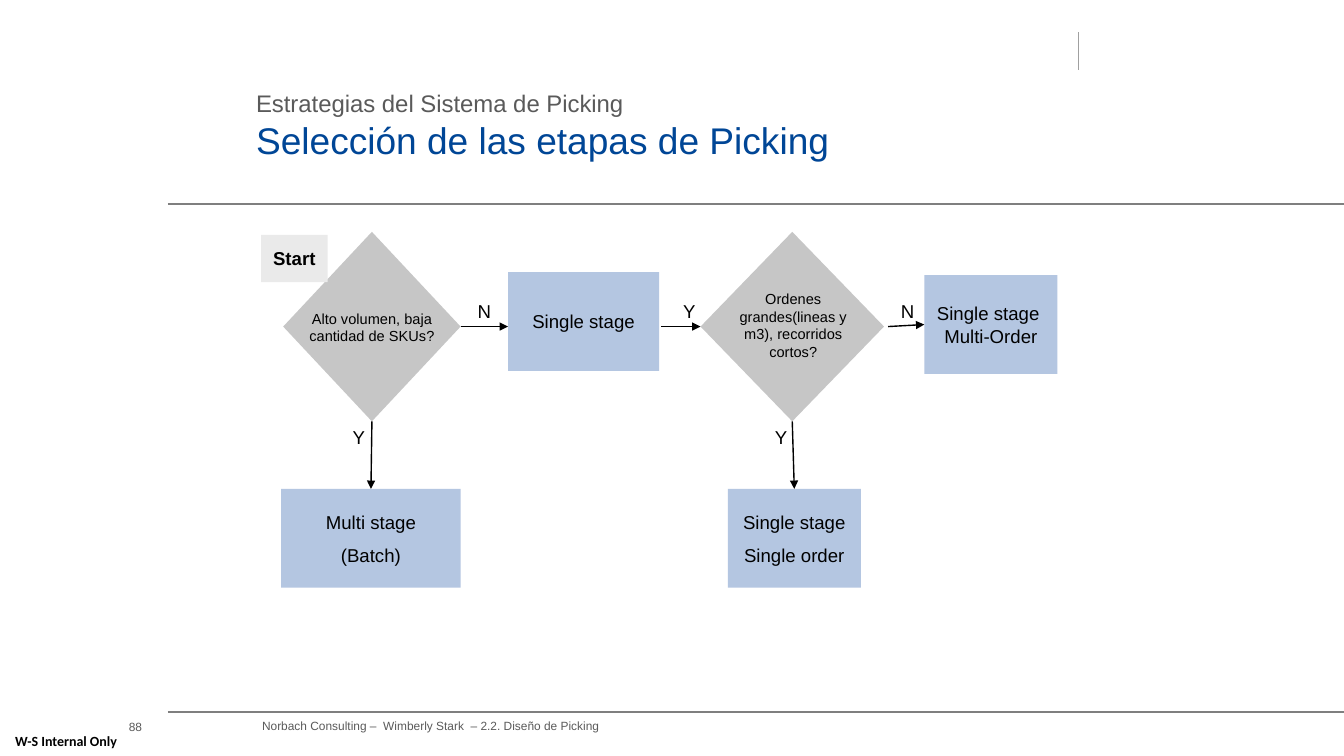
from dataclasses import dataclass
from typing import Optional

from lxml.etree import SubElement
from pptx import Presentation
from pptx.dml.color import RGBColor
from pptx.enum.shapes import MSO_CONNECTOR, MSO_SHAPE
from pptx.enum.text import MSO_ANCHOR, MSO_AUTO_SIZE, PP_ALIGN
from pptx.oxml.ns import qn
from pptx.util import Pt

BLACK, GREY, BLUE = "000000", "5A5A5A", "004696"
STEP_FILL, DECISION_FILL, START_FILL = "B4C6E1", "C6C6C6", "EAEAEA"
ROW_Y = 233.28      # height of the horizontal arrows
STEP_HEIGHT = 70.56
PARAGRAPH_GAP = 7.65

FLOW_FONT = {"name": "Arial", "size": Pt(13.3), "bold": False}
QUESTION_FONT = {**FLOW_FONT, "size": Pt(10.4)}
START_FONT = {**FLOW_FONT, "bold": True}
SMALL_FONT = {**FLOW_FONT, "size": Pt(8.5)}
NOTICE_FONT = {"name": "Calibri", "size": Pt(10), "bold": True}
NO_MARGINS = dict.fromkeys(
    ("margin_left", "margin_top", "margin_right", "margin_bottom"), 0)


@dataclass
class Box:
    left: float
    top: float
    width: float
    height: float
    text: str = ""
    fill: Optional[str] = None
    preset: MSO_SHAPE = MSO_SHAPE.RECTANGLE


@dataclass
class Arrow:
    start: tuple[float, float]
    end: tuple[float, float]
    source: Optional[tuple[str, int]] = None    # node and connection site
    target: Optional[tuple[str, int]] = None


def colour(hex_value: str) -> RGBColor:
    return RGBColor.from_string(hex_value)


def apply(target, values: dict) -> None:
    for name, value in values.items():
        setattr(target, name, value)


def write(frame, text: str, font: dict, ink: str = BLACK,
          align=PP_ALIGN.CENTER, **frame_format) -> None:
    apply(frame, {"vertical_anchor": MSO_ANCHOR.MIDDLE, "word_wrap": False,
                  **frame_format})
    frame.text = text
    for index, paragraph in enumerate(frame.paragraphs):
        paragraph.alignment = align
        if index:
            paragraph.space_before = Pt(PARAGRAPH_GAP)
        for run in paragraph.runs:
            apply(run.font, font)
            run.font.color.rgb = colour(ink)


def place(box: Box):
    """Add a filled shape, or a text box when there is no fill."""
    bounds = [Pt(v) for v in (box.left, box.top, box.width, box.height)]
    if box.fill is None:
        return slide.shapes.add_textbox(*bounds)
    shape = slide.shapes.add_shape(box.preset, *bounds)
    shape.shadow.inherit = False
    shape.fill.solid()
    shape.fill.fore_color.rgb = colour(box.fill)
    shape.line.fill.background()
    return shape


def draw_line(start: tuple, end: tuple, ink: str):
    line = slide.shapes.add_connector(
        MSO_CONNECTOR.STRAIGHT, *[Pt(v) for v in (*start, *end)])
    line.line.color.rgb = colour(ink)
    line.line.width = Pt(1)
    SubElement(line._element.spPr, qn("a:effectLst"))
    return line


def draw_arrow(arrow: Arrow, nodes: dict) -> None:
    line = draw_line(arrow.start, arrow.end, BLACK)
    SubElement(line.line._get_or_add_ln(), qn("a:tailEnd"), type="triangle")
    if arrow.source:
        line.begin_connect(nodes[arrow.source[0]], arrow.source[1])
    if arrow.target:
        line.end_connect(nodes[arrow.target[0]], arrow.target[1])


prs = Presentation()
prs.slide_width, prs.slide_height = Pt(960), Pt(540)
slide = prs.slides.add_slide(prs.slide_layouts[5])

# Title with its smaller topic line
title = slide.shapes.title
apply(title, {"left": Pt(182.88), "top": Pt(63.36),
              "width": Pt(642.24), "height": Pt(65.52)})
apply(title.text_frame, {**NO_MARGINS, "vertical_anchor": MSO_ANCHOR.TOP,
                         "word_wrap": True, "auto_size": MSO_AUTO_SIZE.NONE})
heading = title.text_frame.paragraphs[0]
heading.alignment = PP_ALIGN.LEFT
for text, size, ink in (("Estrategias del Sistema de Picking", 17.1, GREY),
                        ("Selección de las etapas de Picking", 26.5, BLUE)):
    if heading.runs:
        heading.add_line_break()
    run = heading.add_run()
    run.text = text
    apply(run.font, {"name": "Arial", "size": Pt(size)})
    run.font.color.rgb = colour(ink)

# Page rules
for start, end, ink in (((120, 145.6), (960, 145.6), "7F7F7F"),
                        ((120, 508.5), (960, 508.5), "7F7F7F"),
                        ((770.4, 23), (770.4, 49.7), "A0A0A0")):
    draw_line(start, end, ink)

# Steps and decisions
NODES = {
    "volume": Box(202.32, 165.6, 126.72, 135.36, "", DECISION_FILL,
                  MSO_SHAPE.DIAMOND),
    "orders": Box(500.4, 165.6, 131.04, 135.36, "", DECISION_FILL,
                  MSO_SHAPE.DIAMOND),
    "single": Box(362.88, 194.4, 108, STEP_HEIGHT, "Single stage", STEP_FILL),
    "batch": Box(200.88, 349.2, 128.16, STEP_HEIGHT,
                 "Multi stage\n(Batch)", STEP_FILL),
    "single order": Box(519.84, 349.2, 95.04, STEP_HEIGHT,
                        "Single stage\nSingle order", STEP_FILL),
    "multi order": Box(660.24, 196.56, 95.04, STEP_HEIGHT,
                       "Single stage \vMulti-Order", STEP_FILL),
}
nodes = {name: place(box) for name, box in NODES.items()}
for name, box in NODES.items():
    if box.text:
        write(nodes[name].text_frame, box.text, FLOW_FONT)

# Questions over the diamonds
for question in (
        Box(205.2, 190.08, 120.96, 87.12,
            "Alto volumen, baja cantidad de SKUs?"),
        Box(514.08, 188.64, 105.12, 87.12,
            "Ordenes grandes(lineas y m3), recorridos cortos?")):
    write(place(question).text_frame, question.text, QUESTION_FONT,
          word_wrap=True)

# Arrows
for arrow in (
        Arrow((329.04, ROW_Y), (362.88, ROW_Y), source=("volume", 3)),
        Arrow((472.32, ROW_Y), (500.4, ROW_Y), target=("orders", 1)),
        Arrow((634.32, ROW_Y), (660.24, ROW_Y), target=("multi order", 1)),
        Arrow((265.68, 300.96), (264.96, 349.2), ("volume", 2), ("batch", 0)),
        Arrow((565.92, 300.96), (567.36, 349.2),
              ("orders", 2), ("single order", 0))):
    draw_arrow(arrow, nodes)

# Yes and no labels
for text, left, top in (("N", 334.08, 212.4), ("Y", 480.96, 212.4),
                        ("N", 636.48, 212.4), ("Y", 244.8, 302.4),
                        ("Y", 546.48, 302.4)):
    answer = Box(left, top, 19.44 if text == "N" else 17.28, 19.44, text)
    write(place(answer).text_frame, text, FLOW_FONT)

# Start marker
start_box = Box(186.48, 167.76, 47.52, 33.84, "Start", START_FILL)
write(place(start_box).text_frame, start_box.text, START_FONT)

# Footer
page_number = place(Box(20.16, 514.08, 81.36, 8.64)).text_frame
write(page_number, "88", SMALL_FONT, GREY, PP_ALIGN.RIGHT, **NO_MARGINS)
page_number.word_wrap = True
page_number.paragraphs[0].line_spacing = 1.2
write(place(Box(187.2, 514.08, 545.04, 9.36)).text_frame,
      "Norbach Consulting –  Wimberly Stark  – 2.2. Diseño de Picking",
      SMALL_FONT, GREY, PP_ALIGN.LEFT, **NO_MARGINS)
write(place(Box(10.8, 519.12, 80.64, 20.88)).text_frame,
      "W-S Internal Only", NOTICE_FONT, BLACK, PP_ALIGN.LEFT, **NO_MARGINS)

prs.save("out.pptx")
